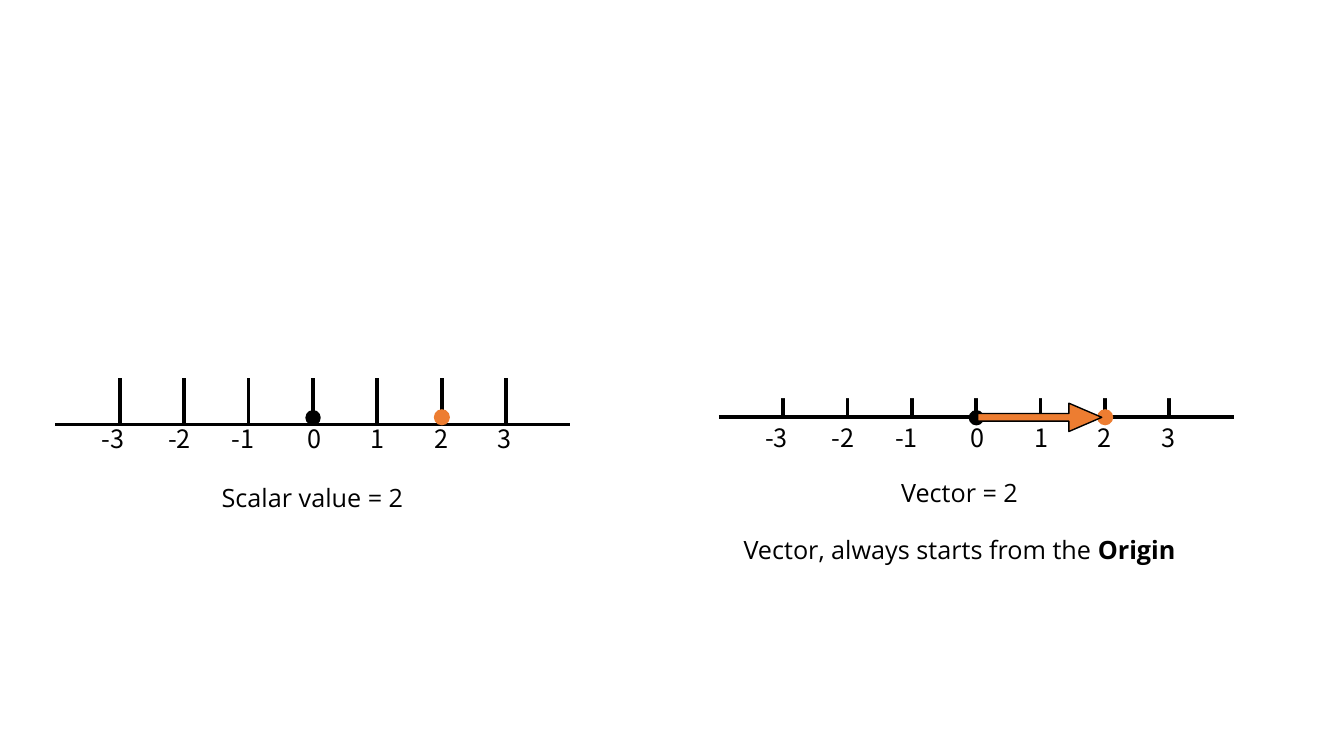
from lxml import etree
from pptx import Presentation, util as u
from pptx.dml.color import RGBColor
from pptx.enum import shapes, text
from pptx.oxml import ns

COLORS = {"ink": "000000", "accent": "ED7D31", "paper": "FFFFFF"}
LABEL_LEFTS = {-3: 26, -2: 73.4, -1: 118.8, 0: 172.8, 1: 218.2, 2: 263.5, 3: 308.9}
CELLS = 8
CELL_W = 46


class Deck:
    """Draws number lines, labels and shapes on one slide in a shared style."""

    def __init__(self):
        self.prs = Presentation()
        self.prs.slide_width, self.prs.slide_height = u.Pt(960), u.Pt(540)
        self.s = self.prs.slides.add_slide(self.prs.slide_layouts[6])

    def color(self, name):
        return RGBColor.from_string(COLORS[name])

    def shape(self, kind, x, y, w, h, fill, line=None, adj=()):
        sp = self.s.shapes.add_shape(kind, u.Pt(x), u.Pt(y), u.Pt(w), u.Pt(h))
        sp.shadow.inherit = False
        sp.fill.solid()
        sp.fill.fore_color.rgb = self.color(fill)
        if line:
            sp.line.color.rgb = self.color(line)
            sp.line.width = u.Pt(1)
        else:
            sp.line.fill.background()
        for i, value in enumerate(adj):
            sp.adjustments[i] = value

    def dot(self, x, y, size, fill, line=None):
        self.shape(shapes.MSO_SHAPE.OVAL, x, y, size, size, fill, line)

    def text(self, x, y, w, h, paragraphs, font, align=text.PP_ALIGN.LEFT, gap=0):
        tf = self.s.shapes.add_textbox(u.Pt(x), u.Pt(y), u.Pt(w), u.Pt(h)).text_frame
        tf.word_wrap = True
        for i, runs in enumerate(paragraphs):
            p = tf.add_paragraph() if i else tf.paragraphs[0]
            p.alignment = align
            if i:
                p.space_before = u.Pt(gap)
            for content, bold in runs:
                r = p.add_run()
                r.text = content
                r.font.name, r.font.size, r.font.bold = font, u.Pt(18), bold
                r.font.color.rgb = self.color("ink")

    def border(self, cell, sides):
        tc_pr = cell._tc.get_or_add_tcPr()
        for i, side in enumerate("LRTB"):
            ln = etree.Element(ns.qn(f"a:ln{side}"), w=str(u.Pt(3)))
            if side in sides:
                fill = etree.SubElement(ln, ns.qn("a:solidFill"))
                etree.SubElement(fill, ns.qn("a:srgbClr"), val=COLORS["ink"])
            else:
                etree.SubElement(ln, ns.qn("a:noFill"))
            tc_pr.insert(i, ln)

    def axis(self, x, y, h):
        frame = self.s.shapes.add_table(1, CELLS, u.Pt(x), u.Pt(y), u.Pt(CELLS * CELL_W), u.Pt(h))
        table = frame.table
        table.first_row = table.horz_banding = False
        for i in range(CELLS):
            table.columns[i].width = u.Pt(CELL_W)
            cell = table.cell(0, i)
            cell.margin_top = cell.margin_bottom = 0
            cell.fill.background()
            self.border(cell, "B" + "L" * (i > 0) + "R" * (i < CELLS - 1))

    def labels(self, x, y):
        for value, left in LABEL_LEFTS.items():
            width = 39.6 if value < 0 else 22.3
            self.text(x + left, y, width, 28.8, [[(str(value), False)]], "Noto Sans CJK KR")

    def points(self, x):
        self.dot(x + 179, 293.4, 10, "ink", "ink")
        self.dot(x + 270.3, 292.3, 11.5, "accent")


def main():
    deck = Deck()
    center = text.PP_ALIGN.CENTER
    scalar_x, vector_x = 39.6, 513.4

    deck.axis(scalar_x, 270, 33.2)
    deck.labels(scalar_x, 298.8)
    deck.points(scalar_x)
    deck.text(103.7, 341.3, 239, 28.8, [[("Scalar value = 2", False)]], "Open Sans", center)

    deck.axis(vector_x, 269.3, 28.4)
    deck.shape(shapes.MSO_SHAPE.RECTANGLE, vector_x, 255.6, 375, 28.8, "paper")
    deck.labels(vector_x, 298.1)
    deck.points(vector_x)
    deck.shape(shapes.MSO_SHAPE.RIGHT_ARROW, 698.4, 288, 88.6, 20.2, "accent", "ink", (0.27, 1.16))
    vector_notes = [
        [("Vector = 2", False)],
        [("Vector, always starts from the ", False), ("Origin", True)],
    ]
    deck.text(519.8, 337.7, 331.2, 72.7, vector_notes, "Open Sans", center, 19)

    deck.prs.save("out.pptx")


if __name__ == "__main__":
    main()
